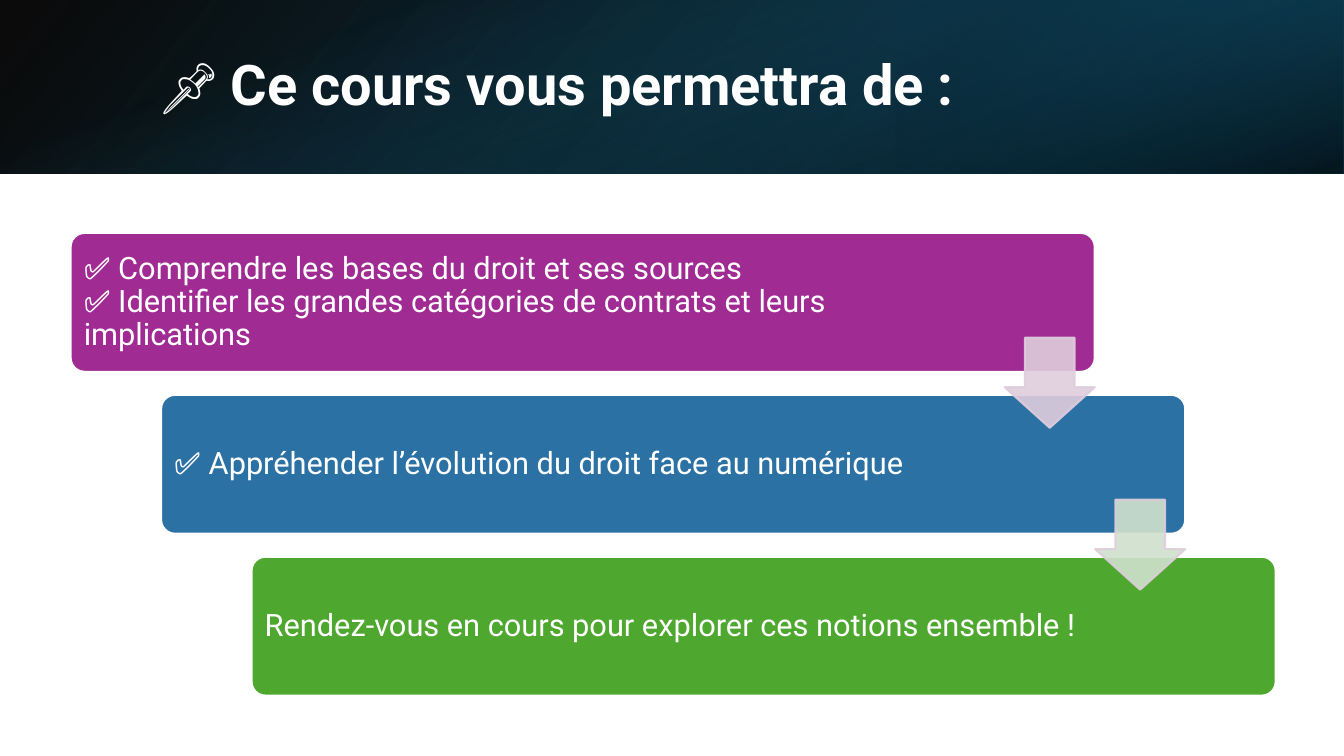
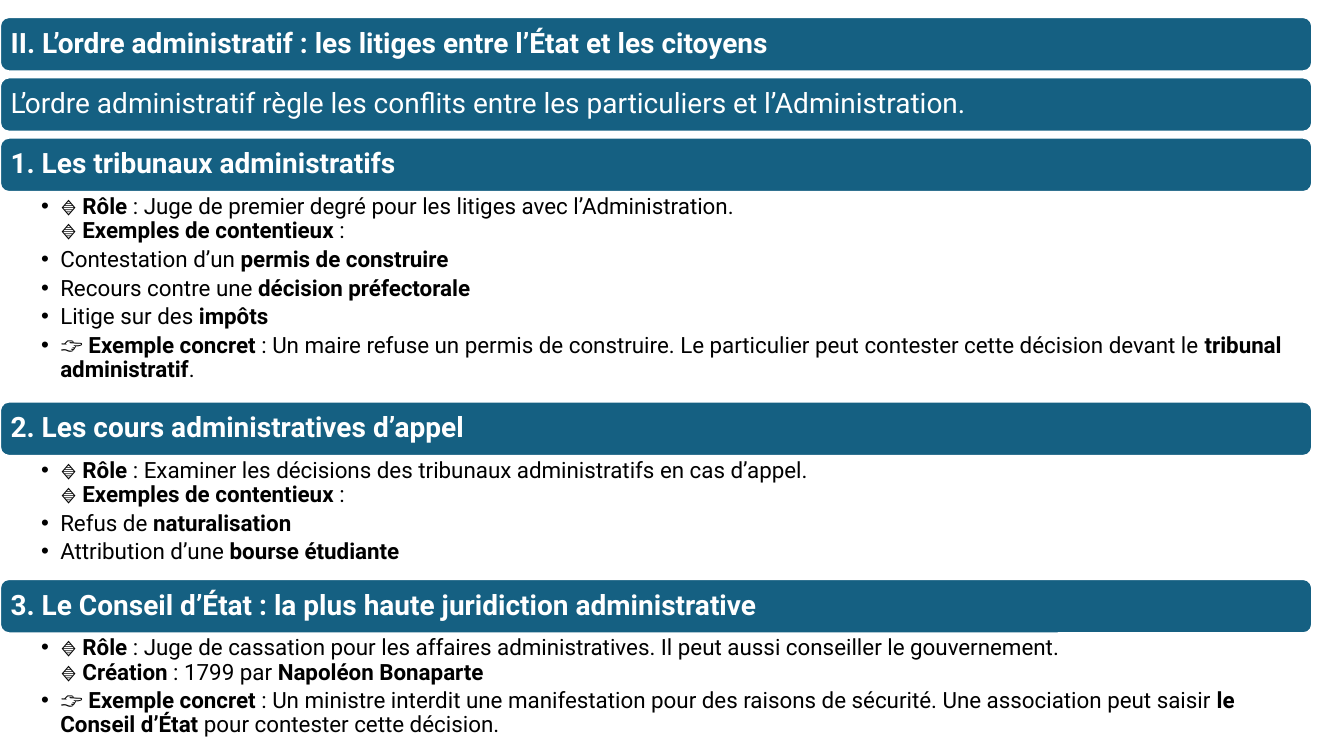
import copy
from dataclasses import dataclass
from typing import Any, Optional, Sequence

import lxml.etree
import pptx
import pptx.dml.color
import pptx.enum.shapes
import pptx.enum.text
import pptx.oxml.ns
import pptx.shapes.autoshape
import pptx.slide
import pptx.text.text
import pptx.util

Cm = pptx.util.Cm
RGBColor = pptx.dml.color.RGBColor
Shape = pptx.shapes.autoshape.Shape
Slide = pptx.slide.Slide
PRESET = pptx.enum.shapes.MSO_SHAPE
ANCHOR = pptx.enum.text.MSO_ANCHOR
qn = pptx.oxml.ns.qn

FONT = "Roboto"
WHITE = RGBColor(0xFF, 0xFF, 0xFF)
BLACK = RGBColor(0x00, 0x00, 0x00)
NAVY = RGBColor(0x10, 0x48, 0x62)
DEEP_TEAL = RGBColor(0x0B, 0x30, 0x41)
TEAL = RGBColor(0x15, 0x60, 0x82)
PURPLE = RGBColor(0xA0, 0x2B, 0x93)
BLUE = RGBColor(0x2C, 0x71, 0xA4)
GREEN = RGBColor(0x4E, 0xA7, 0x2E)
PALE_PINK = RGBColor(0xDF, 0xCD, 0xDC)
PALE_GREEN = RGBColor(0xD0, 0xE1, 0xCD)

SLIDE_WIDTH, SLIDE_HEIGHT = 33.87, 19.05
HEADER_HEIGHT = 4.37
STEP_X, STEP_Y = 2.28, 4.08
BAR_WIDTH, BAR_HEIGHT, BAR_GAP = 33.07, 1.37, 0.15


@dataclass(frozen=True)
class Box:
    left: float
    top: float
    width: float
    height: float

    def lengths(self) -> list[pptx.util.Length]:
        return [Cm(value) for value in (self.left, self.top, self.width, self.height)]


@dataclass(frozen=True)
class Stop:
    position: float
    color: RGBColor
    opacity: int


@dataclass(frozen=True)
class GradientLayer:
    box: Box
    stops: tuple[Stop, Stop]
    angle: int
    rotation: int = 0
    flipped: bool = False


@dataclass(frozen=True)
class Card:
    text: str
    color: RGBColor
    right_margin: float


@dataclass(frozen=True)
class Section:
    heading: str
    bullets: tuple[str, ...] = ()
    body_height: float = BAR_GAP


HEADER_LAYERS = (
    GradientLayer(Box(0, 0, SLIDE_WIDTH, HEADER_HEIGHT),
                  (Stop(0, BLACK, 96), Stop(1, NAVY, 100)), 140, flipped=True),
    GradientLayer(Box(22.58, 0, 11.28, HEADER_HEIGHT),
                  (Stop(0.19, DEEP_TEAL, 68), Stop(1, TEAL, 79)), 320, 180, True),
    GradientLayer(Box((SLIDE_WIDTH - HEADER_HEIGHT) / 2, (HEADER_HEIGHT - SLIDE_WIDTH) / 2,
                      HEADER_HEIGHT, SLIDE_WIDTH),
                  (Stop(0.23, TEAL, 0), Stop(0.99, BLACK, 74)), 340, 90),
)

CARDS = (
    Card("✅ Comprendre les bases du droit et ses sources\n"
         "✅ Identifier les grandes catégories de contrats et leurs implications", PURPLE, 3.82),
    Card("✅ Appréhender l’évolution du droit face au numérique", BLUE, 4.78),
    Card("Rendez-vous en cours pour explorer ces notions ensemble !", GREEN, 4.78),
)

COURT_TITLE = "**II. L’ordre administratif : les litiges entre l’État et les citoyens**"
SECTIONS = (
    Section("L’ordre administratif règle les conflits entre les particuliers et l’Administration."),
    Section("**1. Les tribunaux administratifs**", (
        "🔹 **Rôle** : Juge de premier degré pour les litiges avec l’Administration.\n"
        "🔹 **Exemples de contentieux** :",
        "Contestation d’un **permis de construire**",
        "Recours contre une **décision préfectorale**",
        "Litige sur des **impôts**",
        "👉 **Exemple concret** : Un maire refuse un permis de construire. Le particulier peut "
        "contester cette décision devant le **tribunal administratif**.",
    ), 5.28),
    Section("**2. Les cours administratives d’appel**", (
        "🔹 **Rôle** : Examiner les décisions des tribunaux administratifs en cas d’appel.\n"
        "🔹 **Exemples de contentieux** :",
        "Refus de **naturalisation**",
        "Attribution d’une **bourse étudiante**",
    ), 3.1),
    Section("**3. Le Conseil d’État : la plus haute juridiction administrative**", (
        "🔹 **Rôle** : Juge de cassation pour les affaires administratives. Il peut aussi "
        "conseiller le gouvernement.\n"
        "🔹 **Création** : 1799 par **Napoléon Bonaparte**",
        "👉 **Exemple concret** : Un ministre interdit une manifestation pour des raisons de "
        "sécurité. Une association peut saisir **le Conseil d’État** pour contester cette décision.",
    ), 3.05),
)


def add_runs(paragraph: Any, text: str, size: float, color: RGBColor) -> None:
    for index, part in enumerate(text.split("**")):
        for line_number, line in enumerate(part.split("\n")):
            if line_number:
                paragraph.add_line_break()
                line_break = paragraph._p[-1]
                line_break.append(copy.deepcopy(paragraph.runs[-1].font._element))
            if line:
                run = paragraph.add_run()
                run.text = line
                run.font.name = FONT
                run.font.size = pptx.util.Pt(size)
                run.font.bold = index % 2 == 1
                run.font.color.rgb = color


def add_bullet(paragraph: Any) -> None:
    properties = paragraph._p.get_or_add_pPr()
    properties.set("marL", str(Cm(0.48)))
    properties.set("indent", str(-Cm(0.48)))
    lxml.etree.SubElement(properties, qn("a:buFont")).set("typeface", "Arial")
    lxml.etree.SubElement(properties, qn("a:buChar")).set("char", "•")


def write_text(shape: Any, *paragraphs: str, size: float, color: RGBColor = WHITE,
               margins: Sequence[float] = (0.25, 0.13, 0.25, 0.13),
               anchor: Any = ANCHOR.MIDDLE, bulleted: bool = False,
               space_after: float = 0) -> None:
    frame = shape.text_frame
    frame.word_wrap = True
    frame.auto_size = pptx.enum.text.MSO_AUTO_SIZE.NONE
    frame.vertical_anchor = anchor
    (frame.margin_left, frame.margin_top,
     frame.margin_right, frame.margin_bottom) = [Cm(margin) for margin in margins]
    for index, text in enumerate(paragraphs):
        paragraph = frame.add_paragraph() if index else frame.paragraphs[0]
        paragraph.alignment = pptx.enum.text.PP_ALIGN.LEFT
        paragraph.line_spacing = 0.9
        paragraph.space_before = pptx.util.Pt(0)
        paragraph.space_after = pptx.util.Pt(space_after)
        if bulleted:
            add_bullet(paragraph)
        add_runs(paragraph, text, size, color)


def set_opacities(shape: Shape, opacities: Sequence[int]) -> None:
    colors = shape.element.spPr.iter(qn("a:srgbClr"))
    for color, opacity in zip(list(colors), opacities):
        lxml.etree.SubElement(color, qn("a:alpha")).set("val", str(opacity * 1000))


def add_shape(slide: Slide, preset: Any, box: Box, *, fill: Optional[RGBColor] = None,
              line: Optional[RGBColor] = None, adjustments: Sequence[float] = ()) -> Shape:
    shape = slide.shapes.add_shape(preset, *box.lengths())
    shape.shadow.inherit = False
    for index, value in enumerate(adjustments):
        shape.adjustments[index] = value
    if fill is not None:
        shape.fill.solid()
        shape.fill.fore_color.rgb = fill
    if line is None:
        shape.line.fill.background()
    else:
        shape.line.color.rgb = line
        shape.line.width = pptx.util.Pt(1.5)
    return shape


def add_gradient_layer(slide: Slide, layer: GradientLayer) -> None:
    shape = add_shape(slide, PRESET.RECTANGLE, layer.box)
    shape.rotation = layer.rotation
    if layer.flipped:
        shape.element.spPr.find(qn("a:xfrm")).set("flipH", "1")
    shape.fill.gradient()
    shape.fill.gradient_angle = 360 - layer.angle
    for gradient_stop, stop in zip(shape.fill.gradient_stops, layer.stops):
        gradient_stop.position = stop.position
        gradient_stop.color.rgb = stop.color
    set_opacities(shape, [stop.opacity for stop in layer.stops])


def place_title(slide: Slide, text: str, box: Box, **text_format: Any) -> None:
    title = slide.shapes.title
    title.left, title.top, title.width, title.height = box.lengths()
    write_text(title, text, **text_format)
    title.element.getparent().append(title.element)


def add_bar(slide: Slide, top: float) -> Shape:
    return add_shape(slide, PRESET.ROUNDED_RECTANGLE, Box(0, top, BAR_WIDTH, BAR_HEIGHT),
                     fill=TEAL, line=WHITE)


def build_goals(slide: Slide) -> None:
    for layer in HEADER_LAYERS:
        add_gradient_layer(slide, layer)
    place_title(slide, "📌 **Ce cours vous permettra de :**",
                Box(3.81, 0.97, 27.89, 2.44), size=40)
    for index, card in enumerate(CARDS):
        box = Box(1.78 + index * STEP_X, 5.87 + index * STEP_Y, 25.81, 3.5)
        shape = add_shape(slide, PRESET.ROUNDED_RECTANGLE, box, fill=card.color,
                          line=WHITE, adjustments=(0.1,))
        write_text(shape, card.text, size=22, margins=(0.23, 0.23, card.right_margin, 0.23))
    for index, color in enumerate((PALE_PINK, PALE_GREEN)):
        box = Box(25.32 + index * STEP_X, 8.51 + index * STEP_Y, 2.27, 2.27)
        arrow = add_shape(slide, PRESET.DOWN_ARROW, box, fill=color, line=PALE_PINK,
                          adjustments=(0.55, 0.45))
        set_opacities(arrow, (90, 90))


def build_courts(slide: Slide) -> None:
    top = 0.43
    add_bar(slide, top)
    place_title(slide, COURT_TITLE, Box(0, top, BAR_WIDTH, BAR_HEIGHT), size=20,
                margins=(0.27, 0.2, 0.27, 0.2))
    top += BAR_HEIGHT + BAR_GAP
    for section in SECTIONS:
        write_text(add_bar(slide, top), section.heading, size=20, margins=(0.2,) * 4)
        top += BAR_HEIGHT
        if section.bullets:
            body = slide.shapes.add_textbox(
                *Box(0, top, BAR_WIDTH, section.body_height).lengths())
            write_text(body, *section.bullets, size=16, color=BLACK, anchor=ANCHOR.TOP,
                       margins=(1.04, 0.08, 0.41, 0.08), bulleted=True, space_after=3.2)
        top += section.body_height


def main() -> None:
    presentation = pptx.Presentation()
    presentation.slide_width = Cm(SLIDE_WIDTH)
    presentation.slide_height = Cm(SLIDE_HEIGHT)
    title_only = presentation.slide_layouts.get_by_name("Title Only")
    for build in (build_goals, build_courts):
        build(presentation.slides.add_slide(title_only))
    presentation.save("out.pptx")


if __name__ == "__main__":
    main()
